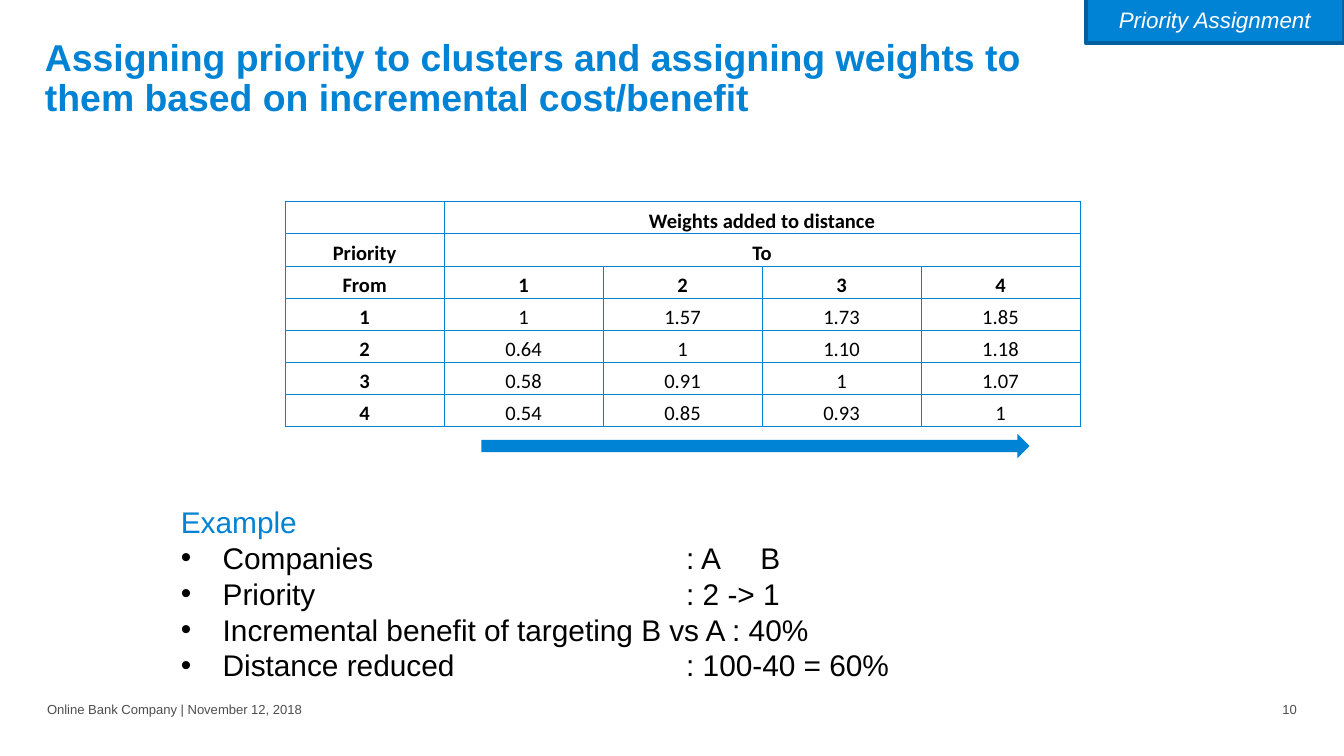
"""Build the priority assignment slide with its weight table and example."""
from dataclasses import dataclass

from lxml.etree import SubElement
from pptx import Presentation
from pptx.dml.color import RGBColor
from pptx.enum.shapes import MSO_SHAPE as Shape
from pptx.enum.text import MSO_ANCHOR as Anchor, MSO_AUTO_SIZE as AutoSize, PP_ALIGN as Align
from pptx.oxml.ns import qn
from pptx.util import Cm, Pt

BLUE, DARK_BLUE, BLACK, WHITE, GREY = "0082D5", "00609E", "000000", "FFFFFF", "4E4E4E"
WEIGHTS = [
    ["", "Weights added to distance"],
    ["Priority", "To"],
    ["From", "1", "2", "3", "4"],
    ["1", "1", "1.57", "1.73", "1.85"],
    ["2", "0.64", "1", "1.10", "1.18"],
    ["3", "0.58", "0.91", "1", "1.07"],
    ["4", "0.54", "0.85", "0.93", "1"],
]
HEADER_ROWS = 3
EXAMPLES = [
    "Companies\t: A\tB",
    "Priority\t: 2 -> 1",
    "Incremental benefit of targeting B vs A : 40%",
    "Distance reduced\t: 100-40 = 60%",
]
EXAMPLE_TABS = (9.55, 10.95)


@dataclass(frozen=True)
class Area:
    left: float
    top: float
    width: float
    height: float

    def lengths(self) -> tuple:
        return Cm(self.left), Cm(self.top), Cm(self.width), Cm(self.height)


@dataclass(frozen=True)
class Style:
    size: float
    color: str
    name: str = "Arial"
    bold: bool = False
    italic: bool = False
    align: Align = Align.LEFT
    spacing: float = 1.0


@dataclass(frozen=True)
class Note:
    text: str
    area: Area
    align: Align


NOTES = [
    Note("Online Bank Company | November 12, 2018", Area(0.89, 13.28, 8.64, 0.28), Align.LEFT),
    Note("10", Area(21.87, 13.28, 2.64, 0.28), Align.RIGHT),
]


def rgb(color: str) -> RGBColor:
    return RGBColor.from_string(color)


def style_paragraph(para, style: Style) -> None:
    para.alignment = style.align
    para.line_spacing = style.spacing
    font = para.font
    font.name, font.size = style.name, Pt(style.size)
    font.bold, font.italic = style.bold, style.italic
    font.color.rgb = rgb(style.color)


def clear_margins(holder) -> None:
    holder.margin_left = holder.margin_right = holder.margin_top = holder.margin_bottom = 0


def add_title(page, text: str, area: Area) -> None:
    title = page.shapes.title
    title.left, title.top, title.width, title.height = area.lengths()
    frame = title.text_frame
    frame.text = text
    frame.auto_size, frame.vertical_anchor = AutoSize.NONE, Anchor.TOP
    clear_margins(frame)
    style_paragraph(frame.paragraphs[0], Style(20, BLUE, bold=True, spacing=0.9))


def add_block(page, kind: Shape, area: Area):
    block = page.shapes.add_shape(kind, *area.lengths())
    block.shadow.inherit = False
    block.fill.solid()
    block.fill.fore_color.rgb = rgb(BLUE)
    block.line.fill.background()
    return block


def add_tag(page, text: str, area: Area) -> None:
    tag = add_block(page, Shape.RECTANGLE, area)
    tag.line.color.rgb = rgb(DARK_BLUE)
    tag.line.width = Pt(2)
    frame = tag.text_frame
    frame.text, frame.vertical_anchor = text, Anchor.MIDDLE
    style_paragraph(frame.paragraphs[0], Style(12, WHITE, italic=True, align=Align.CENTER))


def add_borders(cell) -> None:
    properties = cell._tc.get_or_add_tcPr()
    for side in ("a:lnL", "a:lnR", "a:lnT", "a:lnB"):
        line = SubElement(properties, qn(side), w=str(Pt(0.25)))
        fill = SubElement(line, qn("a:solidFill"))
        SubElement(fill, qn("a:srgbClr"), val=BLUE)


def add_weights(page, area: Area) -> None:
    row_count, column_count = len(WEIGHTS), len(WEIGHTS[-1])
    table = page.shapes.add_table(row_count, column_count, *area.lengths()).table
    table.first_row = table.horz_banding = False
    for row in table.rows:
        row.height = Cm(area.height / row_count)
    for r, texts in enumerate(WEIGHTS):
        if len(texts) < column_count:
            table.cell(r, 1).merge(table.cell(r, column_count - 1))
        for c in range(column_count):
            cell = table.cell(r, c)
            add_borders(cell)
            cell.fill.background()
            clear_margins(cell)
            cell.vertical_anchor = Anchor.BOTTOM
            cell.text = texts[c] if c < len(texts) else ""
            para = cell.text_frame.paragraphs[0]
            bold = r < HEADER_ROWS or c == 0
            style_paragraph(para, Style(11, BLACK, "Calibri", bold, align=Align.CENTER))
            if not cell.text:
                SubElement(para._p, qn("a:endParaRPr"), sz="1100")


def add_bullet(para) -> None:
    properties = para._p.get_or_add_pPr()
    properties.set("marL", str(Cm(0.79)))
    properties.set("indent", str(-Cm(0.79)))
    SubElement(properties, qn("a:buFont"), typeface="Arial")
    SubElement(properties, qn("a:buChar"), char="•")
    tabs = SubElement(properties, qn("a:tabLst"))
    for position in EXAMPLE_TABS:
        SubElement(tabs, qn("a:tab"), pos=str(Cm(position)), algn="l")


def add_example(page, area: Area) -> None:
    frame = page.shapes.add_textbox(*area.lengths()).text_frame
    frame.word_wrap, frame.vertical_anchor = True, Anchor.MIDDLE
    heading = frame.paragraphs[0]
    heading.text = "Example"
    style_paragraph(heading, Style(16, BLUE))
    for text in EXAMPLES:
        para = frame.add_paragraph()
        para.text = text
        add_bullet(para)
        style_paragraph(para, Style(16, BLACK))


def add_note(page, note: Note) -> None:
    frame = page.shapes.add_textbox(*note.area.lengths()).text_frame
    frame.word_wrap, frame.vertical_anchor = True, Anchor.BOTTOM
    clear_margins(frame)
    frame.text = note.text
    style_paragraph(frame.paragraphs[0], Style(7, GREY, align=note.align, spacing=0.9))


def main() -> None:
    deck = Presentation()
    deck.slide_width, deck.slide_height = Cm(25.4), Cm(14.29)
    page = deck.slides.add_slide(deck.slide_layouts.get_by_name("Title Only"))
    add_title(
        page,
        "Assigning priority to clusters and assigning weights to them based on incremental cost/benefit",
        Area(0.85, 0.74, 19.69, 1.98),
    )
    add_tag(page, "Priority Assignment", Area(20.52, -0.05, 4.88, 0.86))
    add_weights(page, Area(5.39, 3.81, 15.02, 4.25))
    add_block(page, Shape.RIGHT_ARROW, Area(9.1, 8.2, 10.36, 0.46))
    add_example(page, Area(3.17, 9.4, 19.89, 3.63))
    for note in NOTES:
        add_note(page, note)
    deck.save("out.pptx")


if __name__ == "__main__":
    main()
